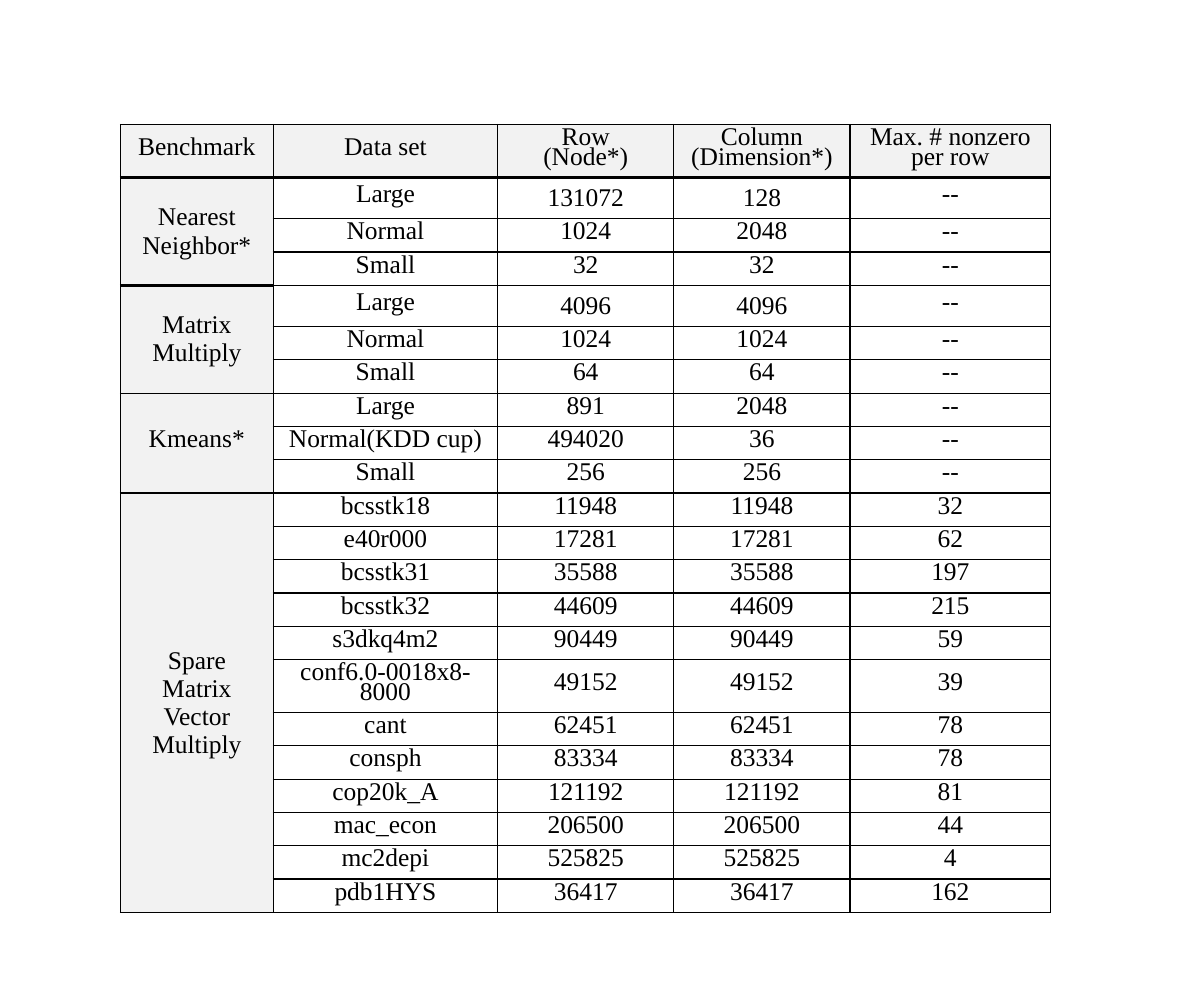
import pptx
import pptx.dml.color
import pptx.enum.text
import pptx.oxml
import pptx.oxml.ns
import pptx.util
from pptx.util import Cm

HEADINGS = ["Benchmark", "Data set", "Row\n(Node*)", "Column\n(Dimension*)", "Max. # nonzero per row"]
BENCHMARKS = [
    ("Nearest Neighbor*", [
        ("Large", "131072", "128", "--"),
        ("Normal", "1024", "2048", "--"),
        ("Small", "32", "32", "--"),
    ]),
    ("Matrix Multiply", [
        ("Large", "4096", "4096", "--"),
        ("Normal", "1024", "1024", "--"),
        ("Small", "64", "64", "--"),
    ]),
    ("Kmeans*", [
        ("Large", "891", "2048", "--"),
        ("Normal(KDD cup)", "494020", "36", "--"),
        ("Small", "256", "256", "--"),
    ]),
    ("Spare Matrix Vector Multiply", [
        ("bcsstk18", "11948", "11948", "32"),
        ("e40r000", "17281", "17281", "62"),
        ("bcsstk31", "35588", "35588", "197"),
        ("bcsstk32", "44609", "44609", "215"),
        ("s3dkq4m2", "90449", "90449", "59"),
        ("conf6.0-0018x8-8000", "49152", "49152", "39"),
        ("cant", "62451", "62451", "78"),
        ("consph", "83334", "83334", "78"),
        ("cop20k_A", "121192", "121192", "81"),
        ("mac_econ", "206500", "206500", "44"),
        ("mc2depi", "525825", "525825", "4"),
        ("pdb1HYS", "36417", "36417", "162"),
    ]),
]
COLUMN_WIDTHS = [3.81, 5.59, 4.39, 4.39, 5.0]
TALL_ROWS = {0: 1.32, 1: 1.03, 4: 1.03, 15: 1.32}
ROW_HEIGHT = 0.83
NATURAL_SPACING = {(1, 0), (1, 2), (1, 3), (4, 0), (4, 2), (4, 3), (10, 0)}
THICK_TOPS = {(1, column) for column in range(5)} | {(4, 0)}
THICK_BOTTOMS = {(0, column) for column in range(5)} | {(1, 0), (3, 0)}
BLACK = "000000"
SHADE = "F2F2F2"
THIN, THICK = 1, 2.25


def color(value):
    return pptx.dml.color.RGBColor.from_string(value)


def write(cell, text, size=18, font="Times New Roman", ink=BLACK, spacing=None):
    cell.text_frame.text = text
    for paragraph in cell.text_frame.paragraphs:
        paragraph.alignment = pptx.enum.text.PP_ALIGN.CENTER
        if spacing:
            paragraph.line_spacing = pptx.util.Pt(spacing)
        for run in paragraph.runs:
            run.font.size = pptx.util.Pt(size)
            run.font.name = font
            run.font.color.rgb = color(ink)


def set_borders(cell, top, bottom):
    properties = cell._tc.get_or_add_tcPr()
    for side, width in (("L", THIN), ("R", THIN), ("T", top), ("B", bottom)):
        properties.append(pptx.oxml.parse_xml(
            f'<a:ln{side} {pptx.oxml.ns.nsdecls("a")} w="{pptx.util.Pt(width)}">'
            f'<a:solidFill><a:srgbClr val="{BLACK}"/></a:solidFill></a:ln{side}>'))


def format_cell(cell, row, column):
    cell.vertical_anchor = pptx.enum.text.MSO_ANCHOR.MIDDLE
    cell.margin_left = cell.margin_right = Cm(0.3)
    cell.margin_top = cell.margin_bottom = Cm(0.16)
    set_borders(cell,
                THICK if (row, column) in THICK_TOPS else THIN,
                THICK if (row, column) in THICK_BOTTOMS else THIN)
    if row == 0 or column == 0:
        cell.fill.solid()
        cell.fill.fore_color.rgb = color(SHADE)
    else:
        cell.fill.background()


def main():
    presentation = pptx.Presentation()
    presentation.slide_width, presentation.slide_height = Cm(30), Cm(25)
    slide = presentation.slides.add_slide(presentation.slide_layouts[6])

    rows = [HEADINGS]
    spans = []
    for name, datasets in BENCHMARKS:
        spans.append((len(rows), len(rows) + len(datasets) - 1))
        for index, dataset in enumerate(datasets):
            rows.append(["" if index else name, *dataset])
    heights = [TALL_ROWS.get(row, ROW_HEIGHT) for row in range(len(rows))]

    table = slide.shapes.add_table(
        len(rows), len(HEADINGS), Cm(3), Cm(3.1),
        Cm(sum(COLUMN_WIDTHS)), Cm(sum(heights))).table
    table.first_row = table.horz_banding = False
    for column, width in zip(table.columns, COLUMN_WIDTHS):
        column.width = Cm(width)

    for row, texts in enumerate(rows):
        table.rows[row].height = Cm(heights[row])
        for column, text in enumerate(texts):
            cell = table.cell(row, column)
            format_cell(cell, row, column)
            if text:
                write(cell, text, spacing=None if (row, column) in NATURAL_SPACING else 14)
    for first, last in spans:
        table.cell(first, 0).merge(table.cell(last, 0))

    presentation.save("out.pptx")


if __name__ == "__main__":
    main()
